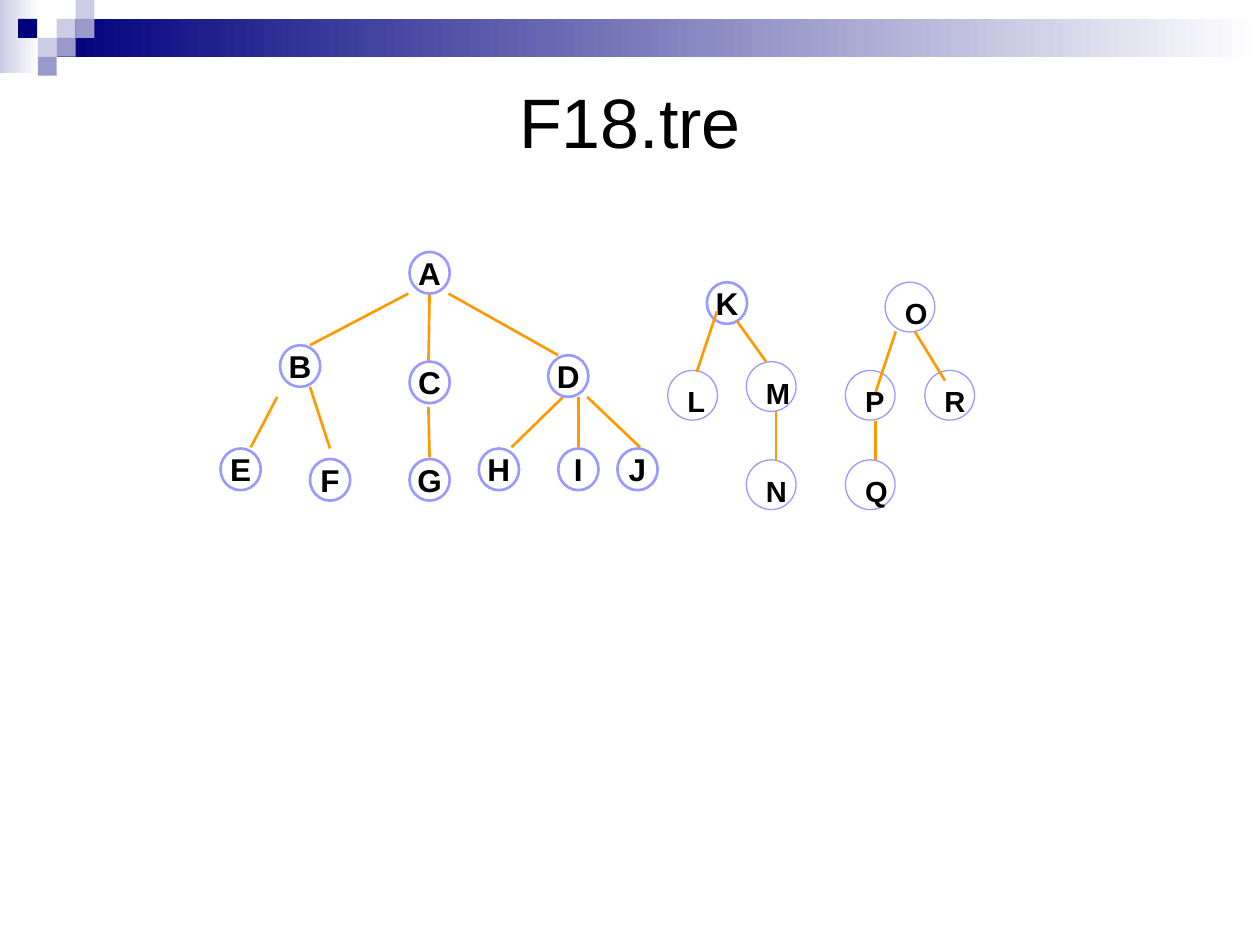
from pptx import Presentation
from pptx.dml.color import RGBColor
from pptx.enum.shapes import MSO_CONNECTOR, MSO_SHAPE
from pptx.enum.text import MSO_ANCHOR, PP_ALIGN
from pptx.oxml.xmlchemy import OxmlElement
from pptx.util import Pt

HUES = {"navy": "00007D", "pale": "CCCCE6", "mid": "9999CC", "white": "FFFFFF",
        "black": "000000", "ring": "9999FF", "edge": "FF9900"}

SMALL = {"size": (23, 23.8), "line": 1.5, "font": 18, "wrap": False,
         "align": PP_ALIGN.CENTER, "anchor": MSO_ANCHOR.MIDDLE}
LARGE = {"size": (28.4, 28.4), "line": 0.75, "font": 16.6, "wrap": True,
         "align": PP_ALIGN.JUSTIFY, "anchor": MSO_ANCHOR.TOP}

TREES = [
    {"box": (126, 144),
     "back": [(107.3, 23.8, 51.1, 53.3), (130.3, 23.8, 193, 59),
              (119.5, 23.8, 118.8, 64.8), (118.8, 88.6, 119.5, 117.4),
              (204.5, 82.8, 204.5, 111.6), (51.1, 77, 62.6, 112.3),
              (32.4, 82.8, 17.3, 111.6), (209.5, 82.8, 239.8, 111.6),
              (195.8, 82.8, 166.3, 111.6)],
     "nodes": [("A", 108, 0, SMALL), ("B", 34, 53.3, SMALL),
               ("C", 108, 62.6, SMALL), ("G", 108, 118.3, SMALL),
               ("F", 51.1, 118.3, SMALL), ("E", 0, 112.3, SMALL),
               ("H", 147.6, 112.3, SMALL), ("I", 193, 112.3, SMALL),
               ("J", 226.8, 112.3, SMALL), ("D", 187.2, 59, SMALL)],
     "front": []},
    {"box": (381.6, 161.3),
     "back": [],
     "nodes": [("K", 22.3, 0, SMALL), ("L", 0, 50.4, LARGE),
               ("M", 44.9, 45.4, LARGE), ("N", 44.9, 101.5, LARGE)],
     "front": [(39.6, 22.3, 56.2, 45.4), (61.9, 73.4, 61.9, 102.2),
               (28.1, 16.6, 16.6, 51.1)]},
    {"box": (483.1, 161.3),
     "back": [(17.3, 79.2, 17.3, 113.8)],
     "nodes": [("O", 22.7, 0, LARGE), ("P", 0, 50.4, LARGE),
               ("Q", 0, 101.5, LARGE), ("R", 45.4, 50.4, LARGE)],
     "front": [(28.8, 28.1, 17.3, 62.6), (39.6, 28.1, 56.9, 56.2)]},
]


def tint(name):
    """Return the named colour."""
    return RGBColor.from_string(HUES[name])


def write(frame, text, size, align, anchor, bold=False):
    """Write one run of text into a frame."""
    frame.vertical_anchor = anchor
    para = frame.paragraphs[0]
    para.alignment = align
    run = para.add_run()
    run.text = text
    font = run.font
    font.name, font.size, font.bold = "Arial", Pt(size), bold
    font.color.rgb = tint("black")


def block(slide, box, hue, fade=False):
    """Draw a borderless rectangle, solid or fading to white."""
    shape = slide.shapes.add_shape(MSO_SHAPE.RECTANGLE, *map(Pt, box))
    shape.shadow.inherit = False
    shape.line.fill.background()
    if fade:
        shape.fill.gradient()
        shape.fill.gradient_angle = 0
        for stop, name in zip(shape.fill.gradient_stops, (hue, "white")):
            stop.color.rgb = tint(name)
    else:
        shape.fill.solid()
        shape.fill.fore_color.rgb = tint(hue)


def banner(slide, left, top, width):
    """Draw the fading bar and its cluster of squares."""
    side = 10.8
    block(slide, (left, top, 22.3, 41.8), "pale", True)
    block(slide, (left + 3 * side, top + side, width - 3 * side, 2 * side), "navy", True)
    cells = [(3, 1, "pale"), (4, 0, "pale"), (4, 1, "mid"), (2, 2, "pale"),
             (0.96, 1, "navy"), (3, 2, "mid"), (2, 3, "mid")]
    for col, row, hue in cells:
        block(slide, (left + col * side, top + row * side, side, side), hue)


def head(slide, box, text):
    """Place and fill the title."""
    title = slide.shapes.title
    title.left, title.top, title.width, title.height = map(Pt, box)
    write(title.text_frame, text, 40, PP_ALIGN.CENTER, MSO_ANCHOR.MIDDLE)


def edge(slide, left, top, ends):
    """Draw one branch line."""
    x1, y1, x2, y2 = ends
    line = slide.shapes.add_connector(
        MSO_CONNECTOR.STRAIGHT, Pt(left + x1), Pt(top + y1), Pt(left + x2), Pt(top + y2))
    line.line.color.rgb = tint("edge")
    line.line.width = Pt(1.5)
    line._element.spPr.append(OxmlElement("a:effectLst"))


def node(slide, left, top, text, kind):
    """Draw one lettered circle."""
    shape = slide.shapes.add_shape(
        MSO_SHAPE.OVAL, Pt(left), Pt(top), *map(Pt, kind["size"]))
    shape.shadow.inherit = False
    shape.fill.solid()
    shape.fill.fore_color.rgb = tint("white")
    shape.line.color.rgb = tint("ring")
    shape.line.width = Pt(kind["line"])
    shape.text_frame.word_wrap = kind["wrap"]
    write(shape.text_frame, text, kind["font"], kind["align"], kind["anchor"], True)


def tree(slide, box, back, nodes, front):
    """Draw a tree, with branches behind and before its nodes."""
    left, top = box
    for ends in back:
        edge(slide, left, top, ends)
    for text, x, y, kind in nodes:
        node(slide, left + x, top + y, text, kind)
    for ends in front:
        edge(slide, left, top, ends)


def main():
    """Build the slide and save it."""
    deck = Presentation()
    deck.slide_width, deck.slide_height = Pt(720), Pt(540)
    slide = deck.slides.add_slide(deck.slide_layouts[5])
    banner(slide, 0, 0, 720)
    head(slide, (36, 36, 648, 66), "F18.tre")
    for parts in TREES:
        tree(slide, **parts)
    deck.save("out.pptx")


if __name__ == "__main__":
    main()
